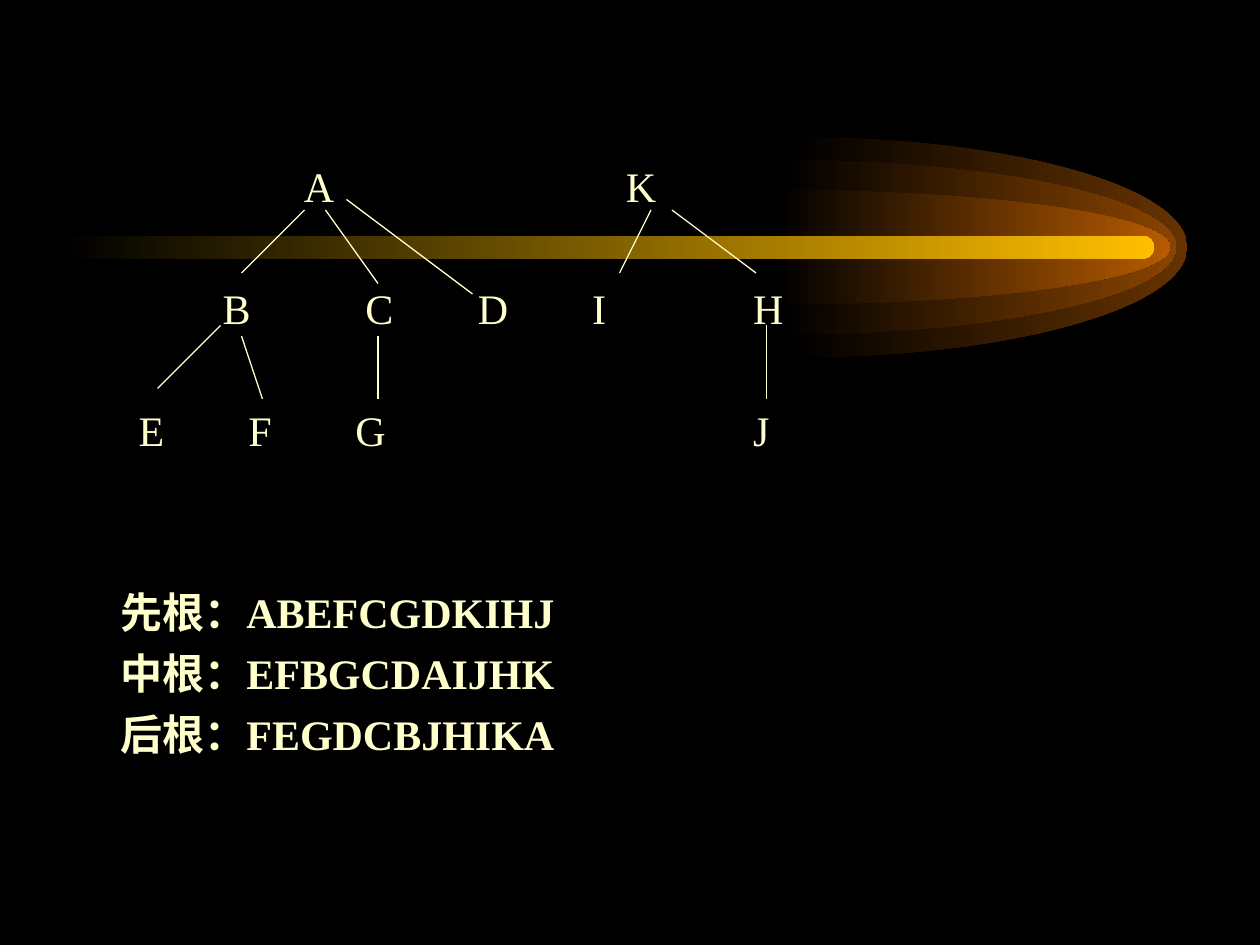
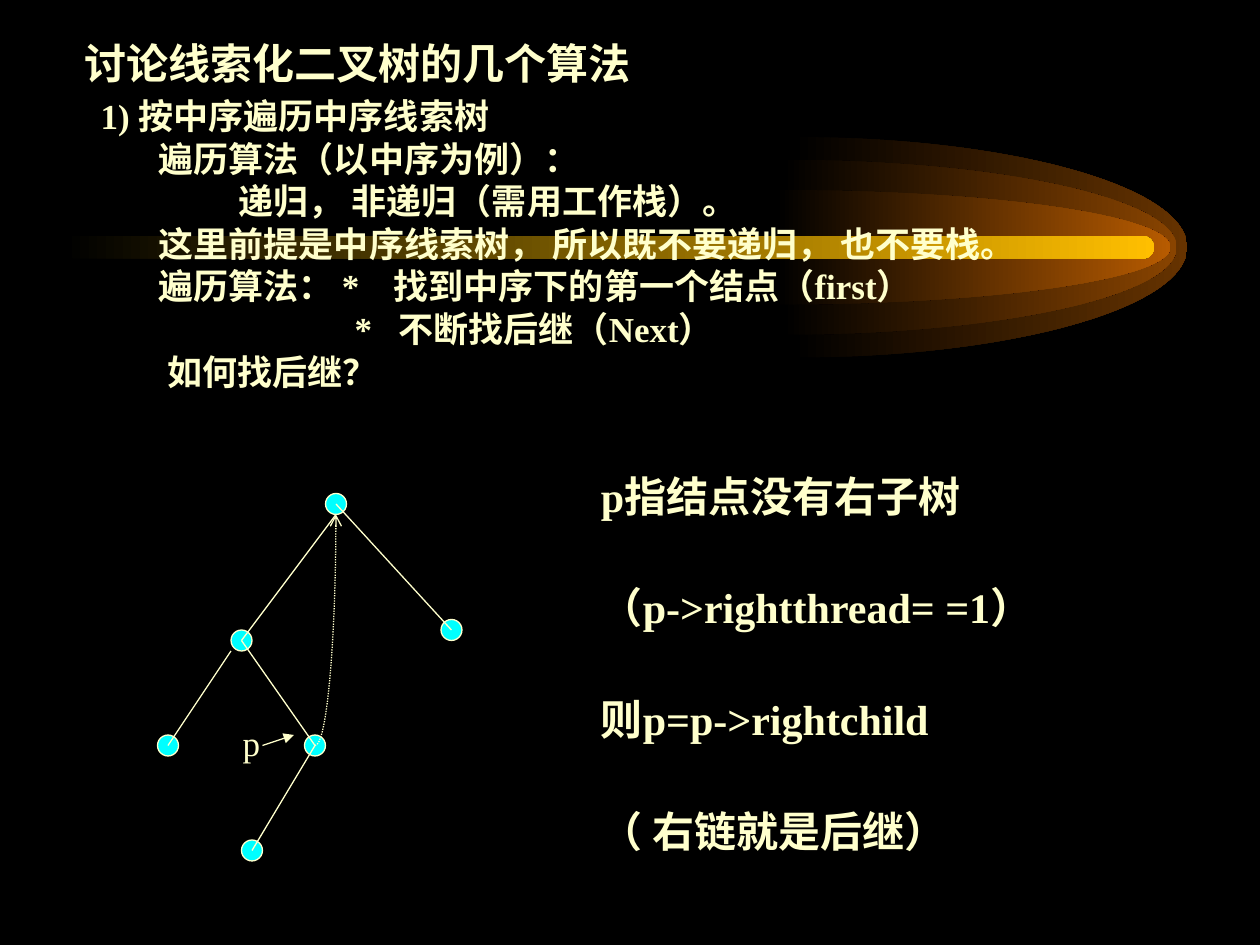
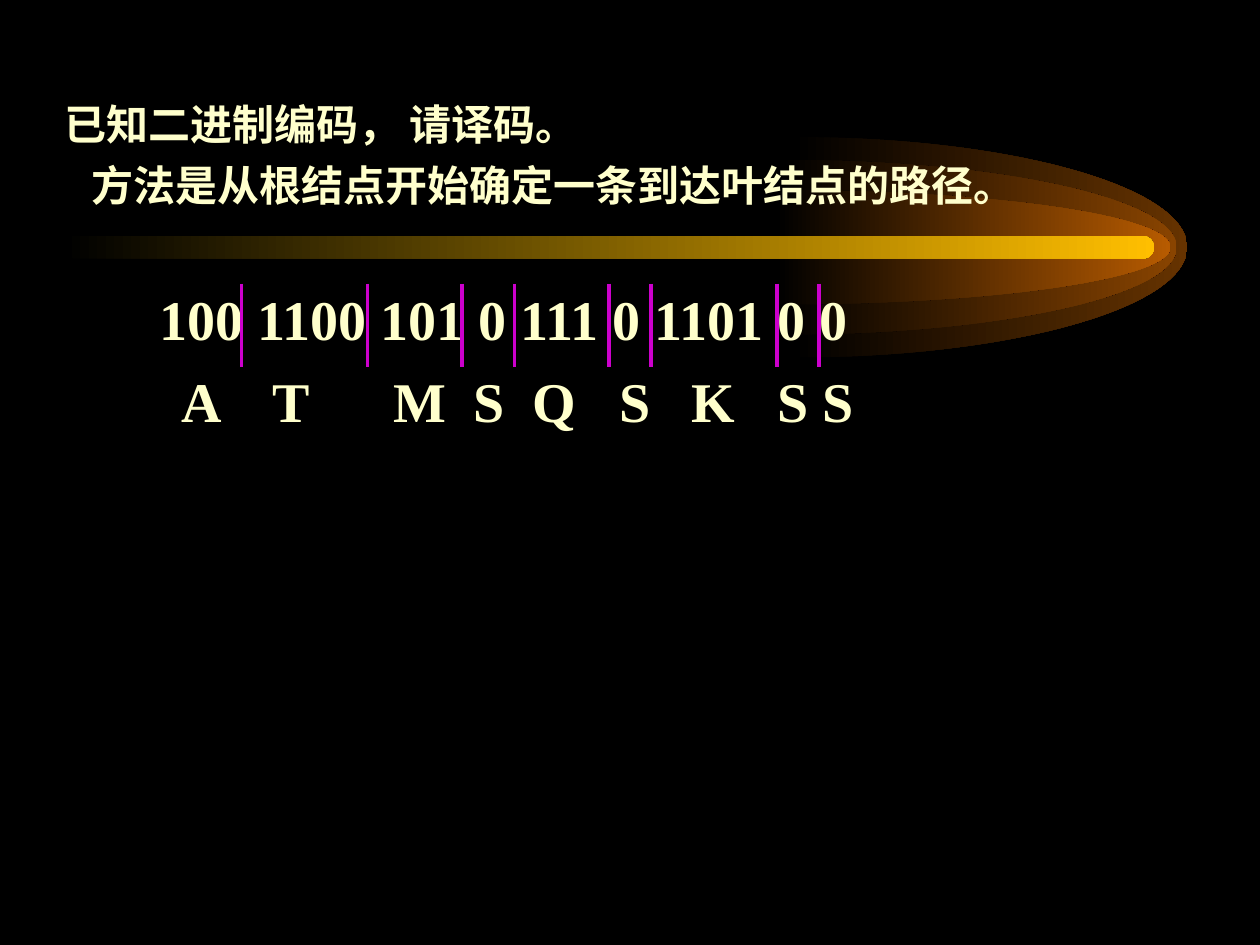
from lxml import etree
from pptx import Presentation
from pptx.dml.color import RGBColor
from pptx.enum.dml import MSO_LINE
from pptx.enum.shapes import MSO_CONNECTOR, MSO_SHAPE
from pptx.enum.text import PP_ALIGN
from pptx.oxml.ns import qn
from pptx.util import Pt

STRAIGHT = MSO_CONNECTOR.STRAIGHT
OVAL = MSO_SHAPE.OVAL
ROUNDED = MSO_SHAPE.ROUNDED_RECTANGLE
DOTTED = MSO_LINE.ROUND_DOT
LEFT = PP_ALIGN.LEFT

BLACK = RGBColor(0x00, 0x00, 0x00)
CREAM = RGBColor(0xFF, 0xFF, 0xCC)
CYAN = RGBColor(0x00, 0xFF, 0xFF)
MAGENTA = RGBColor(0xCC, 0x00, 0xCC)
GOLD = RGBColor(0xFF, 0xBF, 0x00)
EMBERS = [RGBColor(0x66, 0x33, 0x00), RGBColor(0x89, 0x44, 0x00), RGBColor(0xB7, 0x5B, 0x00)]

FONT = "Times New Roman"
ARC = 0.55


def fade(shape, color):
    shape.shadow.inherit = False
    shape.line.fill.background()
    shape.fill.gradient()
    shape.fill.gradient_angle = 0
    for stop, shade in zip(shape.fill.gradient_stops, (BLACK, color)):
        stop.color.rgb = shade


def curve(slide, left, top, points, close):
    places = [(Pt(left + x), Pt(top + y)) for x, y in points]
    builder = slide.shapes.build_freeform(*places[0])
    builder.add_line_segments(places[1:], close=close)
    shape = builder.convert_to_shape()
    segments = list(shape._element.iter(qn("a:lnTo")))
    for i in range(0, len(segments), 3):
        bezier = etree.Element(qn("a:cubicBezTo"))
        segments[i].addprevious(bezier)
        for segment in segments[i:i + 3]:
            bezier.append(segment[0])
            segment.getparent().remove(segment)
    shape.shadow.inherit = False
    return shape


def comet(slide, left, axis):
    reach = 225.4
    flames = [(417, 63), (411, 50), (407.5, 32.75)]
    for (offset, half), color in zip(flames, EMBERS):
        points = [
            (0, -half), (reach * ARC, -half), (reach, -half * ARC), (reach, 0),
            (reach, half * ARC), (reach * ARC, half), (0, half),
        ]
        fade(curve(slide, left + offset, axis, points, True), color)
    beam = slide.shapes.add_shape(ROUNDED, Pt(left), Pt(axis - 6.5), Pt(623.5), Pt(13))
    beam.adjustments[0] = 0.5
    fade(beam, GOLD)


def themed_slide(prs):
    slide = prs.slides.add_slide(prs.slide_layouts[6])
    comet(slide, 36, 141.3)
    return slide


def add_arrowhead(line, kind):
    etree.SubElement(line.line._get_or_add_ln(), qn("a:tailEnd"), type=kind)


def edge(slide, left, top, x1, y1, x2, y2, color=CREAM, width=0.75):
    line = slide.shapes.add_connector(
        STRAIGHT, Pt(left + x1), Pt(top + y1), Pt(left + x2), Pt(top + y2))
    line.line.color.rgb = color
    line.line.width = Pt(width)
    etree.SubElement(line._element.spPr, qn("a:effectLst"))
    return line


def add_tabs(paragraph, stops, kind):
    tabs = etree.SubElement(paragraph._p.get_or_add_pPr(), qn("a:tabLst"))
    for stop in stops:
        etree.SubElement(tabs, qn("a:tab"), pos=str(Pt(stop)), algn=kind)


def text_lines(slide, left, top, width, height, lines, size=24, gap=6, bold=True, tab_kind="l"):
    frame = slide.shapes.add_textbox(Pt(left), Pt(top), Pt(width), Pt(height)).text_frame
    frame.margin_left = frame.margin_right = frame.margin_top = frame.margin_bottom = 0
    frame.word_wrap = True
    for i, (text, stops) in enumerate(lines):
        paragraph = frame.add_paragraph() if i else frame.paragraphs[0]
        paragraph.text = text
        add_tabs(paragraph, stops, tab_kind)
        paragraph.alignment = LEFT
        font = paragraph.font
        font.name, font.size, font.bold = FONT, Pt(size), bold
        font.color.rgb = CREAM
        if i:
            paragraph.space_before = Pt(gap)
    return frame.paragraphs


def forest(slide, left, top):
    levels = [
        ("AK", [104.3, 288.3]),
        ("BCDIH", [57.2, 138.8, 203.7, 264.3, 361]),
        ("EFGJ", [8.6, 70.6, 133.7, 357]),
    ]
    rows = [("".join("\t" + name for name in names), stops) for names, stops in levels]
    text_lines(slide, left, top + 1.5, 420, 170, rows, gap=40.9, bold=False, tab_kind="ctr")
    branches = [
        (96, 30, 60, 66), (108, 30, 138, 72), (120, 24, 192, 78),
        (48, 96, 12, 132), (60, 102, 72, 138), (138, 102, 138, 138),
        (294, 30, 276, 66), (306, 30, 354, 66), (360, 96, 360, 138),
    ]
    for branch in branches:
        edge(slide, left, top, *branch)


def traversal_slide(prs):
    slide = themed_slide(prs)
    forest(slide, 78, 90)
    orders = ["先根：ABEFCGDKIHJ", "中根：EFBGCDAIJHK", "后根：FEGDCBJHIKA"]
    text_lines(slide, 68.8, 335.2, 400, 100, [(order, []) for order in orders])


def threaded_tree(slide, left, top):
    nodes = [(102, 6), (48, 84), (6, 144), (90, 144), (54, 204), (168, 78)]
    for x, y in nodes:
        node = slide.shapes.add_shape(OVAL, Pt(left + x - 6), Pt(top + y - 6), Pt(12), Pt(12))
        node.shadow.inherit = False
        node.fill.solid()
        node.fill.fore_color.rgb = CYAN
        node.line.color.rgb = CREAM
        node.line.width = Pt(0.75)
    branches = [
        (102, 12, 48, 84), (42, 90, 6, 144), (102, 6, 168, 78),
        (48, 84, 90, 144), (90, 144, 54, 204),
    ]
    for branch in branches:
        edge(slide, left, top, *branch)

    thread = curve(slide, left, top, [(90, 144), (96.6, 144), (102, 84.6), (102, 12)], False)
    thread.fill.background()
    thread.line.color.rgb = CREAM
    thread.line.width = Pt(0.75)
    thread.line.dash_style = DOTTED
    add_arrowhead(thread, "arrow")

    add_arrowhead(edge(slide, left, top, 60, 144, 78, 138), "triangle")
    text_lines(slide, left + 48.6, top + 130.2, 12, 24, [("p", [])], size=20, bold=False)


def threading_slide(prs):
    slide = themed_slide(prs)
    lines = [
        ("\t讨论线索化二叉树的几个算法", [21.4]),
        ("\t1) 按中序遍历中序线索树", [30.5]),
        ("\t遍历算法（以中序为例）：", [63.7]),
        ("\t递归， 非递归（需用工作栈）。", [109.4]),
        ("\t这里前提是中序线索树， 所以既不要递归， 也不要栈。", [63.7]),
        ("\t遍历算法： *\t找到中序下的第一个结点（first）", [63.7, 198]),
        ("\t*\t不断找后继（Next）", [175.7, 200.7]),
        ("\t如何找后继？", [68.8]),
    ]
    title, first_step, *steps = text_lines(slide, 27, 18.7, 670, 215, lines, size=20, gap=5.1)
    title.font.size = Pt(24)
    title.line_spacing = 1.1
    first_step.space_before = Pt(8.4)
    for step in (first_step, *steps):
        step.line_spacing = 0.8
    threaded_tree(slide, 90, 282)
    rules = ["p指结点没有右子树", "（p->rightthread= =1）", "则p=p->rightchild", "（ 右链就是后继）"]
    text_lines(slide, 343.4, 268.6, 340, 225, [(rule, []) for rule in rules], gap=35)


def decoding(slide, left, top):
    centers = [23.7, 75.2, 148.4, 188.4, 225.6, 271.3, 316.4, 362, 387.7]
    letters = "".join("\t" + letter for letter in "ATMSQSKSS")
    lines = [("100 1100 101 0 111 0 1101 0 0", []), (letters, centers)]
    text_lines(slide, left, top + 0.4, 440, 86, lines, size=32, gap=8.4, tab_kind="ctr")
    for x in (46.6, 118.6, 172.6, 202.6, 256.6, 280.6, 352.6, 376.6):
        edge(slide, left, top, x, 0, x, 48, MAGENTA, 2.25)


def decoding_slide(prs):
    slide = themed_slide(prs)
    heading = [
        ("已知二进制编码， 请译码。", []),
        ("\t方法是从根结点开始确定一条到达叶结点的路径。", [15.7]),
    ]
    text_lines(slide, 36.7, 56.4, 640, 65, heading)
    decoding(slide, 91.4, 162)


def main():
    prs = Presentation()
    prs.slide_width, prs.slide_height = Pt(720), Pt(540)
    backdrop = prs.slide_master.background.fill
    backdrop.solid()
    backdrop.fore_color.rgb = BLACK
    traversal_slide(prs)
    threading_slide(prs)
    decoding_slide(prs)
    prs.save("out.pptx")


if __name__ == "__main__":
    main()
